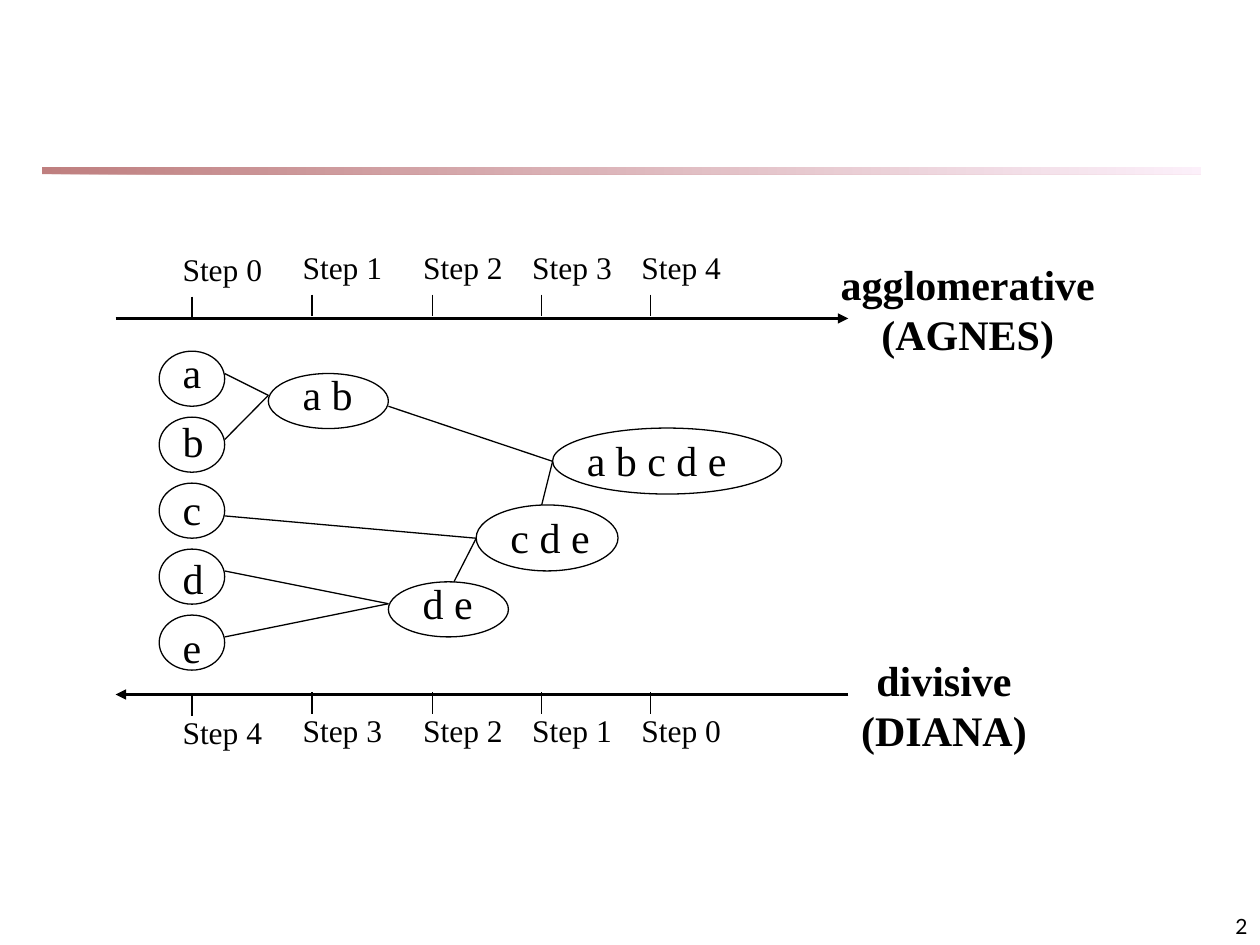
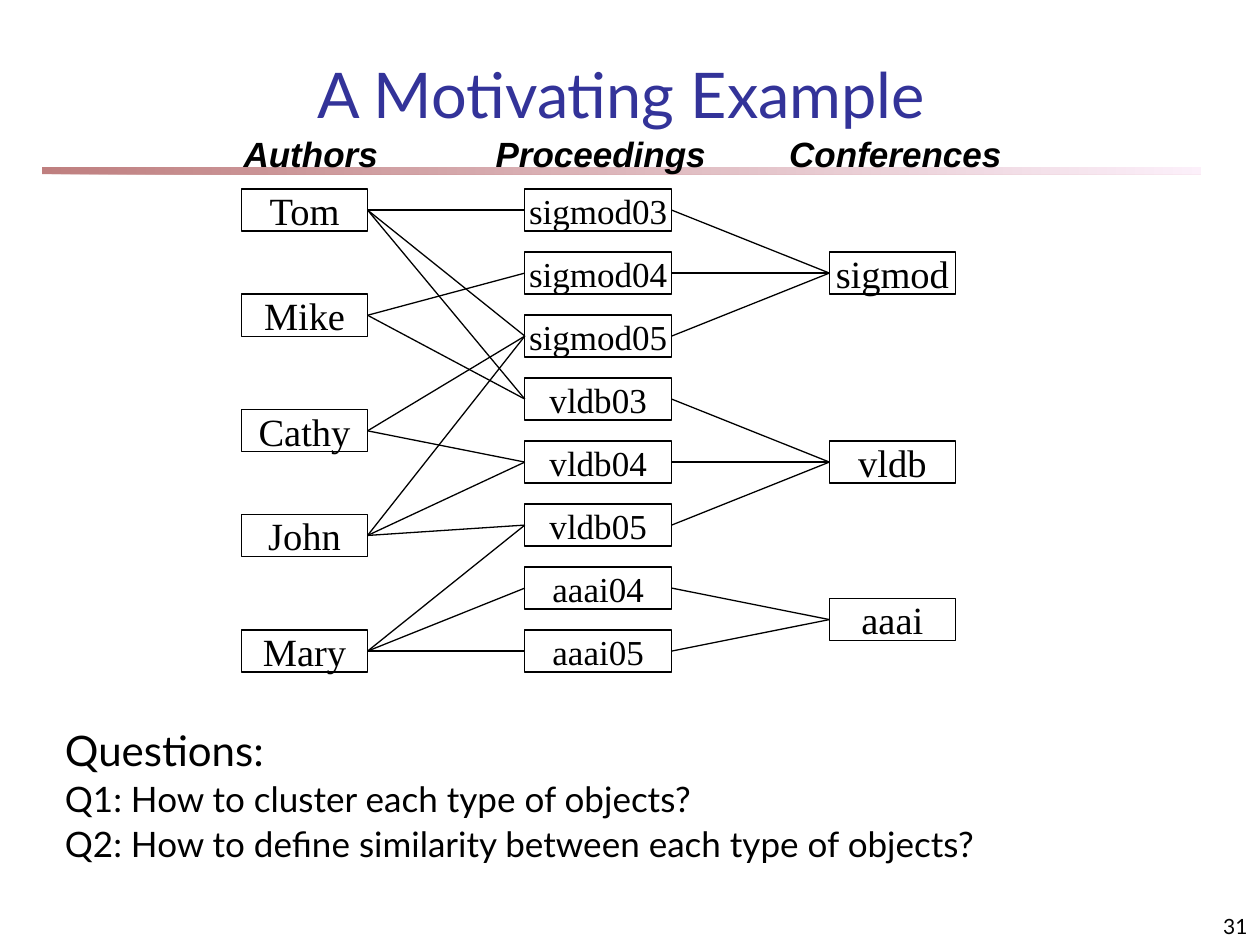
from dataclasses import dataclass

from lxml import etree
from pptx import Presentation
from pptx import util as u
from pptx.dml.color import RGBColor
from pptx.enum import shapes, text
from pptx.oxml.ns import qn


@dataclass(frozen=True)
class Theme:
    ink: str = "000000"
    paper: str = "FFFFFF"
    title_color: str = "333399"
    band_colors: tuple = ("800000", "FAE2F6")
    band_alpha: int = 50
    sans: str = "Lato"
    serif: str = "Times New Roman"
    heading_font: str = "Arial"
    title: int = 36
    large: int = 24
    node: int = 22
    body: int = 20
    step: int = 18
    page: int = 12
    thin: float = 0.75
    thick: float = 1.5


THEME = Theme()
LEFT, CENTER, RIGHT = text.PP_ALIGN.LEFT, text.PP_ALIGN.CENTER, text.PP_ALIGN.RIGHT
TOP, MIDDLE, BOTTOM = text.MSO_ANCHOR.TOP, text.MSO_ANCHOR.MIDDLE, text.MSO_ANCHOR.BOTTOM
LEFT_SIDE, RIGHT_SIDE = 1, 3


def write(frame, *lines, size, font=THEME.serif, color=THEME.ink, bold=False, italic=False,
          align=LEFT, anchor=TOP, wrap=True, spacing=None, before=0):
    """Fill a text frame with one paragraph per line; size may be a list, one per line."""
    frame.word_wrap = wrap
    frame.vertical_anchor = anchor
    sizes = size if isinstance(size, list) else [size] * len(lines)
    for index, (line, points) in enumerate(zip(lines, sizes)):
        paragraph = frame.add_paragraph() if index else frame.paragraphs[0]
        paragraph.alignment = align
        if spacing:
            paragraph.line_spacing = spacing
        if index and before:
            paragraph.space_before = u.Pt(before)
        run = paragraph.add_run()
        run.text = line
        run.font.name, run.font.size = font, u.Pt(points)
        run.font.bold, run.font.italic = bold, italic
        run.font.color.rgb = RGBColor.from_string(color)


class Deck:
    """Holds the theme and the current slide; all positions are in centimetres."""

    def __init__(self, theme):
        self.theme = theme
        self.presentation = Presentation()
        self.presentation.slide_width = u.Cm(25.4)
        self.presentation.slide_height = u.Cm(19.05)
        self.slide = None

    def new_slide(self, number):
        self.slide = self.presentation.slides.add_slide(self.presentation.slide_layouts[6])
        self.band()
        self.label(20.11, 17.99, 5.29, 1.06, str(number), size=self.theme.page,
                   font=self.theme.sans, align=RIGHT, anchor=BOTTOM)

    def band(self):
        band = self.shape(shapes.MSO_SHAPE.RECTANGLE, 0.85, 3.37, 23.36, 0.14)
        band.line.fill.background()
        band.fill.gradient()
        band.fill.gradient_angle = 0
        for position, (stop, color) in enumerate(
                zip(band.fill.gradient_stops, self.theme.band_colors)):
            stop.position = position
            stop.color.rgb = RGBColor.from_string(color)
        for color in band.element.spPr.iter(qn("a:srgbClr")):
            etree.SubElement(color, qn("a:alpha")).set("val", str(self.theme.band_alpha * 1000))

    def title(self, words):
        self.label(1.7, 1.06, 21.64, 1.7, words, size=self.theme.title, font=self.theme.sans,
                   color=self.theme.title_color, align=CENTER, anchor=BOTTOM)

    def label(self, left, top, width, height, *lines, **style):
        box = self.slide.shapes.add_textbox(*map(u.Cm, (left, top, width, height)))
        write(box.text_frame, *lines, **style)

    def shape(self, kind, left, top, width, height, fill=None):
        shape = self.slide.shapes.add_shape(kind, *map(u.Cm, (left, top, width, height)))
        shape.shadow.inherit = False
        if fill:
            shape.fill.solid()
            shape.fill.fore_color.rgb = RGBColor.from_string(fill)
        else:
            shape.fill.background()
        shape.line.color.rgb = RGBColor.from_string(self.theme.ink)
        shape.line.width = u.Pt(self.theme.thin)
        return shape

    def ellipse(self, left, top, width, height):
        self.shape(shapes.MSO_SHAPE.OVAL, left, top, width, height)

    def node(self, left, top, width, words, size, fill=None):
        node = self.shape(shapes.MSO_SHAPE.RECTANGLE, left, top, width, 0.85, fill)
        frame = node.text_frame
        frame.margin_left = frame.margin_right = u.Cm(0.13)
        frame.margin_top = frame.margin_bottom = 0
        write(frame, words, size=size, align=CENTER, anchor=MIDDLE, wrap=False)
        return node

    def line(self, start=(0, 0), end=(0, 0), width=THEME.thin, arrow=False):
        line = self.slide.shapes.add_connector(
            shapes.MSO_CONNECTOR.STRAIGHT, *map(u.Cm, (*start, *end)))
        line.line.color.rgb = RGBColor.from_string(self.theme.ink)
        line.line.width = u.Pt(width)
        properties = line.element.spPr
        if arrow:
            etree.SubElement(properties.find(qn("a:ln")), qn("a:tailEnd")).set("type", "triangle")
        etree.SubElement(properties, qn("a:effectLst"))
        return line

    def link(self, source, target):
        """Join the right side of one node to the left side of another."""
        line = self.line()
        line.begin_connect(source, RIGHT_SIDE)
        line.end_connect(target, LEFT_SIDE)


def step_axis(deck, start, end, tick_top, label_gap, steps):
    deck.line(start, end, deck.theme.thick, arrow=True)
    for x, step in zip((3.87, 6.29, 8.72, 10.92, 13.12), steps):
        top = tick_top + (0.04 if step == steps[0] else 0)
        deck.line((x, top), (x, top + 0.44))
        deck.label(x - 0.44, top + label_gap, 2.2, 1.02, f"Step {step}", size=deck.theme.step)


def clustering_slide(deck):
    large = deck.theme.large
    deck.new_slide(2)
    step_axis(deck, (2.33, 6.42), (17.1, 6.42), 5.94, -1.06, range(5))
    step_axis(deck, (17.1, 14), (2.33, 14), 13.95, 0.25, range(4, -1, -1))

    for row, item in enumerate("abcde"):
        deck.label(3.43, 6.86 + 1.385 * row, 1.09, 1.27, item, size=large)
        deck.ellipse(3.21, 7.08 + 1.33 * row, 1.32, 1.11)

    clusters = (
        ("a b", 5.41, 7.53, 2.42, 1.11),
        ("d e", 7.83, 11.73, 2.42, 1.11),
        ("c d e", 9.6, 10.18, 2.86, 1.33),
        ("a b c d e", 11.14, 8.63, 4.62, 1.33),
    )
    for members, left, top, width, height in clusters:
        deck.label(left + 0.44, top + height - 1.33, width - 0.44, 1.27, members, size=large)
        deck.ellipse(left, top, width, height)

    merges = {
        (5.41, 7.97): ((4.53, 7.53), (4.53, 8.86)),
        (7.83, 12.17): ((4.53, 11.51), (4.53, 12.84)),
        (9.6, 10.85): ((4.53, 10.4), (9.15, 11.73)),
        (11.14, 9.3): ((7.83, 8.19), (10.92, 10.18)),
    }
    for end, starts in merges.items():
        for start in starts:
            deck.line(start, end)

    for left, top, width, *method in ((16.69, 5.08, 5.64, "agglomerative", "(AGNES)"),
                                      (17.1, 13.06, 3.86, "divisive", "(DIANA)")):
        deck.label(left, top, width, 2.29, *method, size=large, bold=True,
                   align=CENTER, wrap=False)


def example_slide(deck):
    theme = deck.theme
    deck.new_slide(31)
    deck.title("A Motivating Example")
    deck.label(1.06, 14.6, 23.28, 3.4, "Questions:",
               "Q1: How to cluster each type of objects?",
               "Q2: How to define similarity between each type of objects?",
               size=[theme.large, theme.body, theme.body], font=theme.sans,
               spacing=0.9, before=4)
    for heading, left, width in (("Authors", 4.66, 3.81), ("Proceedings", 9.74, 4.87),
                                 ("Conferences", 15.66, 4.87)):
        deck.label(left, 2.54, width, 1.09, heading, size=theme.body,
                   font=theme.heading_font, bold=True, italic=True)

    first_row, pitch = 3.81, 1.27
    conferences = {"sigmod": ("03", "04", "05"), "vldb": ("03", "04", "05"),
                   "aaai": ("04", "05")}
    proceedings = {}
    for conference, years in conferences.items():
        first = len(proceedings)
        middle = first + (len(years) - 1) / 2
        venue = deck.node(16.72, first_row + pitch * middle, 2.54, conference, theme.node)
        for row, year in enumerate(years, first):
            name = conference + year
            proceedings[name] = deck.node(10.58, first_row + pitch * row, 2.96, name,
                                          theme.body, theme.paper)
            deck.link(proceedings[name], venue)

    authors = (
        ("Tom", 3.81, ("sigmod03", "sigmod05", "vldb03")),
        ("Mike", 5.93, ("sigmod04", "vldb03")),
        ("Cathy", 8.26, ("sigmod05", "vldb04")),
        ("John", 10.37, ("sigmod05", "vldb04", "vldb05")),
        ("Mary", 12.7, ("vldb05", "aaai04", "aaai05")),
    )
    for name, top, papers in authors:
        author = deck.node(4.87, top, 2.54, name, theme.node)
        for paper in papers:
            deck.link(author, proceedings[paper])


def main():
    deck = Deck(THEME)
    clustering_slide(deck)
    example_slide(deck)
    deck.presentation.save("out.pptx")


if __name__ == "__main__":
    main()
